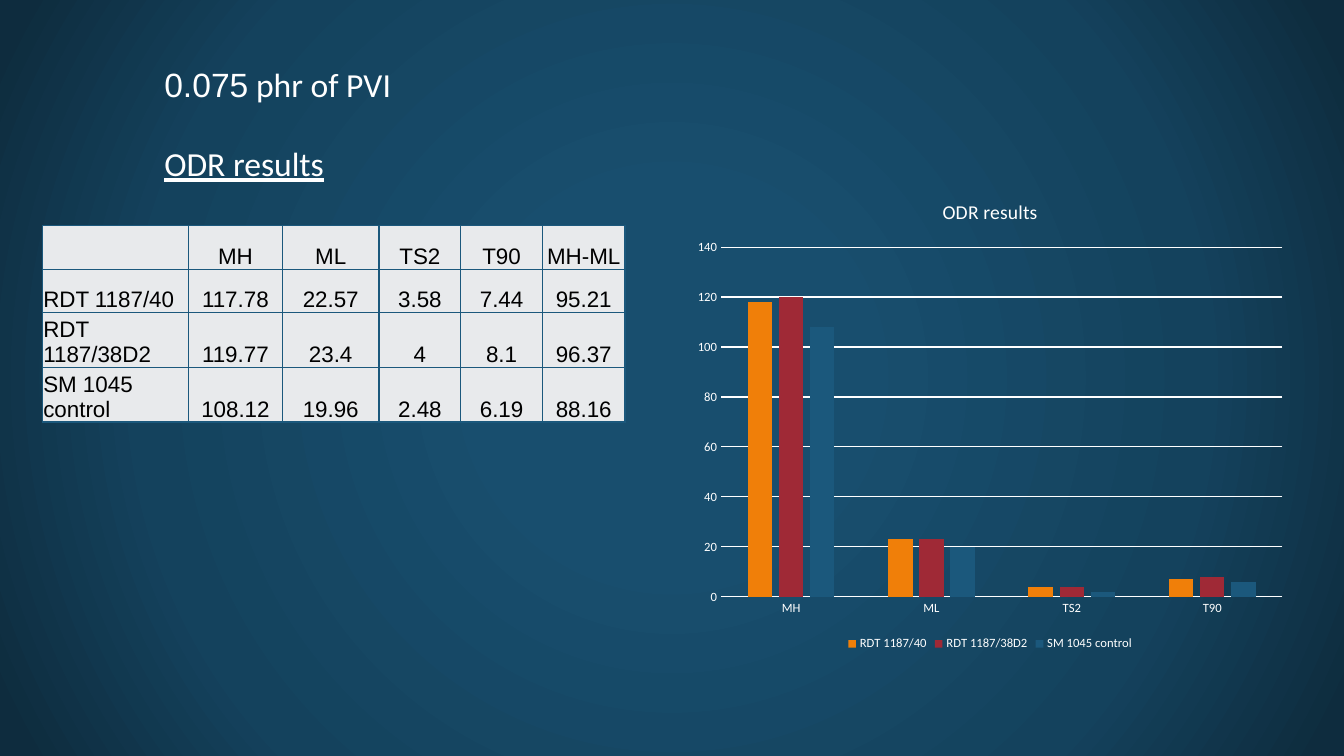
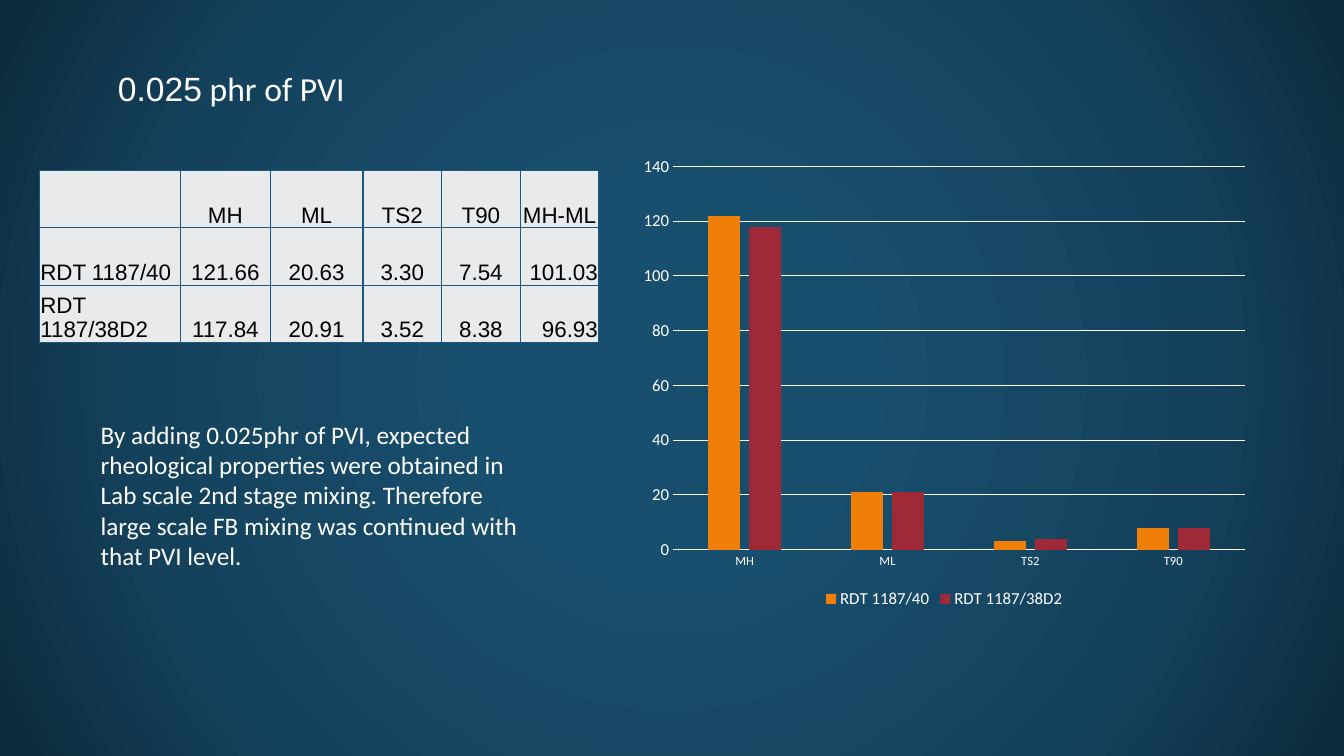
from dataclasses import dataclass

from pptx import Presentation
from pptx.chart.data import CategoryChartData
from pptx.dml.color import RGBColor
from pptx.enum.chart import XL_CHART_TYPE, XL_LEGEND_POSITION, XL_TICK_MARK
from pptx.enum.text import MSO_ANCHOR, MSO_AUTO_SIZE, PP_ALIGN
from pptx.oxml import parse_xml
from pptx.oxml.ns import nsdecls, qn
from pptx.util import Inches, Pt

CLUSTERED = XL_CHART_TYPE.COLUMN_CLUSTERED
LEGEND_BOTTOM = XL_LEGEND_POSITION.BOTTOM
NO_TICK = XL_TICK_MARK.NONE
TOP, BOTTOM = MSO_ANCHOR.TOP, MSO_ANCHOR.BOTTOM
FIT_SHAPE = MSO_AUTO_SIZE.SHAPE_TO_FIT_TEXT
LEFT, CENTER, RIGHT = PP_ALIGN.LEFT, PP_ALIGN.CENTER, PP_ALIGN.RIGHT
TITLE_ONLY = 5


@dataclass(frozen=True)
class Theme:
    font: str = "Calibri"
    number_font: str = "Arial"
    light: str = "FFFFFF"
    dark: str = "000000"
    cell: str = "E8EAEC"
    border: str = "1B587C"
    series: tuple = ("F07F09", "9F2936", "1B587C")
    backdrop: tuple = ((0, "184E6E"), (23, "184E6E"), (69, "14425D"), (97, "0E2C3E"))
    title_size: int = 24
    body_size: int = 18
    table_size: int = 16
    chart_title_size: int = 14
    small_size: int = 9


THEME = Theme()


def style_font(font, size, color=THEME.light, name=THEME.font):
    font.size = Pt(size)
    font.name = name
    font.color.rgb = RGBColor.from_string(color)


def write(paragraph, text, *, size, color=THEME.light, font=THEME.font,
          underline=None, align=LEFT, before=0):
    """Add one formatted run to a paragraph."""
    paragraph.alignment = align
    paragraph.space_before = Pt(before)
    run = paragraph.add_run()
    run.text = text
    style_font(run.font, size, color, font)
    run.font.underline = underline


class Deck:
    def __init__(self, theme):
        self.theme = theme
        self.prs = Presentation()
        self.prs.slide_width, self.prs.slide_height = Inches(13.33), Inches(7.5)
        self.slide = None
        self._paint_master()

    def _paint_master(self):
        master = self.prs.slide_master
        master.background.fill.gradient()
        linear = master.element.find(f".//{qn('p:bgPr')}/{qn('a:gradFill')}")
        stops = "".join(
            f'<a:gs pos="{pos * 1000}"><a:srgbClr val="{color}"/></a:gs>'
            for pos, color in self.theme.backdrop)
        radial = parse_xml(
            f'<a:gradFill {nsdecls("a")} rotWithShape="1"><a:gsLst>{stops}</a:gsLst>'
            '<a:path path="circle"><a:fillToRect l="50000" t="50000" r="50000" b="50000"/>'
            '</a:path></a:gradFill>')
        linear.getparent().replace(linear, radial)

    def add_slide(self):
        self.slide = self.prs.slides.add_slide(self.prs.slide_layouts[TITLE_ONLY])

    def title(self, box, amount, subtitle=None):
        heading = self.slide.shapes.title
        heading.left, heading.top, heading.width, heading.height = map(Inches, box)
        frame = heading.text_frame
        frame.word_wrap = True
        frame.auto_size = FIT_SHAPE
        frame.vertical_anchor = TOP
        size = self.theme.title_size
        write(frame.paragraphs[0], amount, size=size, font=self.theme.number_font)
        write(frame.paragraphs[0], " phr of PVI", size=size)
        if subtitle:
            write(frame.add_paragraph(), subtitle, size=size, underline=True, before=28)

    def body(self, box, text):
        frame = self.slide.shapes.add_textbox(*map(Inches, box)).text_frame
        frame.word_wrap = True
        frame.auto_size = FIT_SHAPE
        write(frame.paragraphs[0], text, size=self.theme.body_size)

    def table(self, left, top, widths, heights, rows, last_align=CENTER):
        grid = self.slide.shapes.add_table(
            len(rows), len(widths), Inches(left), Inches(top),
            Inches(sum(widths)), Inches(sum(heights))).table
        grid.first_row = grid.horz_banding = False
        for column, width in zip(grid.columns, widths):
            column.width = Inches(width)
        for row, height in zip(grid.rows, heights):
            row.height = Inches(height)
        for r, values in enumerate(rows):
            for c, value in enumerate(values):
                if c == 0:
                    align = LEFT
                elif r > 0 and c == len(values) - 1:
                    align = last_align
                else:
                    align = CENTER
                self._cell(grid.cell(r, c), value, align)

    def _cell(self, cell, value, align):
        theme = self.theme
        cell.margin_left = cell.margin_right = cell.margin_top = Inches(0.01)
        cell.margin_bottom = 0
        cell.vertical_anchor = BOTTOM
        if value:
            write(cell.text_frame.paragraphs[0], value, size=theme.table_size,
                  color=theme.dark, font=theme.number_font, align=align)
        # Borders come before the fill in the cell properties
        properties = cell._tc.get_or_add_tcPr()
        for side in ("lnL", "lnR", "lnT", "lnB"):
            properties.append(parse_xml(
                f'<a:{side} {nsdecls("a")} w="{Pt(1)}"><a:solidFill>'
                f'<a:srgbClr val="{theme.border}"/></a:solidFill></a:{side}>'))
        cell.fill.solid()
        cell.fill.fore_color.rgb = RGBColor.from_string(theme.cell)

    def chart(self, box, rows, label_size, title=None):
        """Plot the table rows in whole numbers, leaving out the MH-ML difference."""
        theme = self.theme
        data = CategoryChartData()
        data.categories = rows[0][1:-1]
        for name, *values in rows[1:]:
            data.add_series(name, [round(float(value)) for value in values[:-1]])
        chart = self.slide.shapes.add_chart(CLUSTERED, *map(Inches, box), data).chart
        style_font(chart.font, theme.small_size)
        chart.has_title = bool(title)
        if title:
            heading = chart.chart_title.text_frame.paragraphs[0]
            write(heading, title, size=theme.chart_title_size, align=CENTER)
            heading.runs[0].font.bold = False

        # Columns
        plot = chart.plots[0]
        plot.gap_width, plot.overlap, plot.vary_by_categories = 219, -27, False
        for series, color in zip(plot.series, theme.series):
            series.format.fill.solid()
            series.format.fill.fore_color.rgb = RGBColor.from_string(color)

        # Axes and gridlines
        names, scale = chart.category_axis, chart.value_axis
        scale.minimum_scale, scale.maximum_scale, scale.major_unit = 0, 140, 20
        for axis, size in ((names, theme.small_size), (scale, label_size)):
            axis.major_tick_mark = axis.minor_tick_mark = NO_TICK
            style_font(axis.tick_labels.font, size)
        scale.format.line.fill.background()
        for line in (names.format.line, scale.major_gridlines.format.line):
            line.color.rgb = RGBColor.from_string(theme.light)
            line.width = Pt(0.75)

        # Legend
        chart.has_legend = True
        chart.legend.position = LEGEND_BOTTOM
        chart.legend.include_in_layout = False
        style_font(chart.legend.font, label_size)


HEADER = ("", "MH", "ML", "TS2", "T90", "MH-ML")
HIGH_DOSE = (
    HEADER,
    ("RDT 1187/40", "117.78", "22.57", "3.58", "7.44", "95.21"),
    ("RDT 1187/38D2", "119.77", "23.4", "4", "8.1", "96.37"),
    ("SM 1045 control", "108.12", "19.96", "2.48", "6.19", "88.16"),
)
LOW_DOSE = (
    HEADER,
    ("RDT 1187/40", "121.66", "20.63", "3.30", "7.54", "101.03"),
    ("RDT 1187/38D2", "117.84", "20.91", "3.52", "8.38", "96.93"),
)
CONCLUSION = (
    "By adding 0.025phr of PVI, expected rheological properties were obtained in "
    "Lab scale 2nd stage mixing. Therefore large scale FB mixing was continued "
    "with that PVI level."
)


def main():
    deck = Deck(THEME)

    # 0.075 phr
    deck.add_slide()
    deck.title((1.53, 0.58, 5.28, 1.31), "0.075", "ODR results")
    deck.table(0.42, 2.24, (1.45, 0.93, 0.96, 0.81, 0.81, 0.82),
               (0.43, 0.43, 0.52, 0.52), HIGH_DOSE)
    deck.chart((6.8, 1.78, 6.04, 4.72), HIGH_DOSE, label_size=9, title="ODR results")

    # 0.025 phr
    deck.add_slide()
    deck.title((1.07, 0.62, 4.25, 0.5), "0.025")
    deck.table(0.39, 1.69, (1.4, 0.89, 0.92, 0.78, 0.78, 0.78),
               (0.57,) * 3, LOW_DOSE, last_align=RIGHT)
    deck.chart((6.26, 1.46, 6.21, 4.62), LOW_DOSE, label_size=12)
    deck.body((0.9, 4.11, 4.42, 1.62), CONCLUSION)

    deck.prs.save("out.pptx")


if __name__ == "__main__":
    main()
